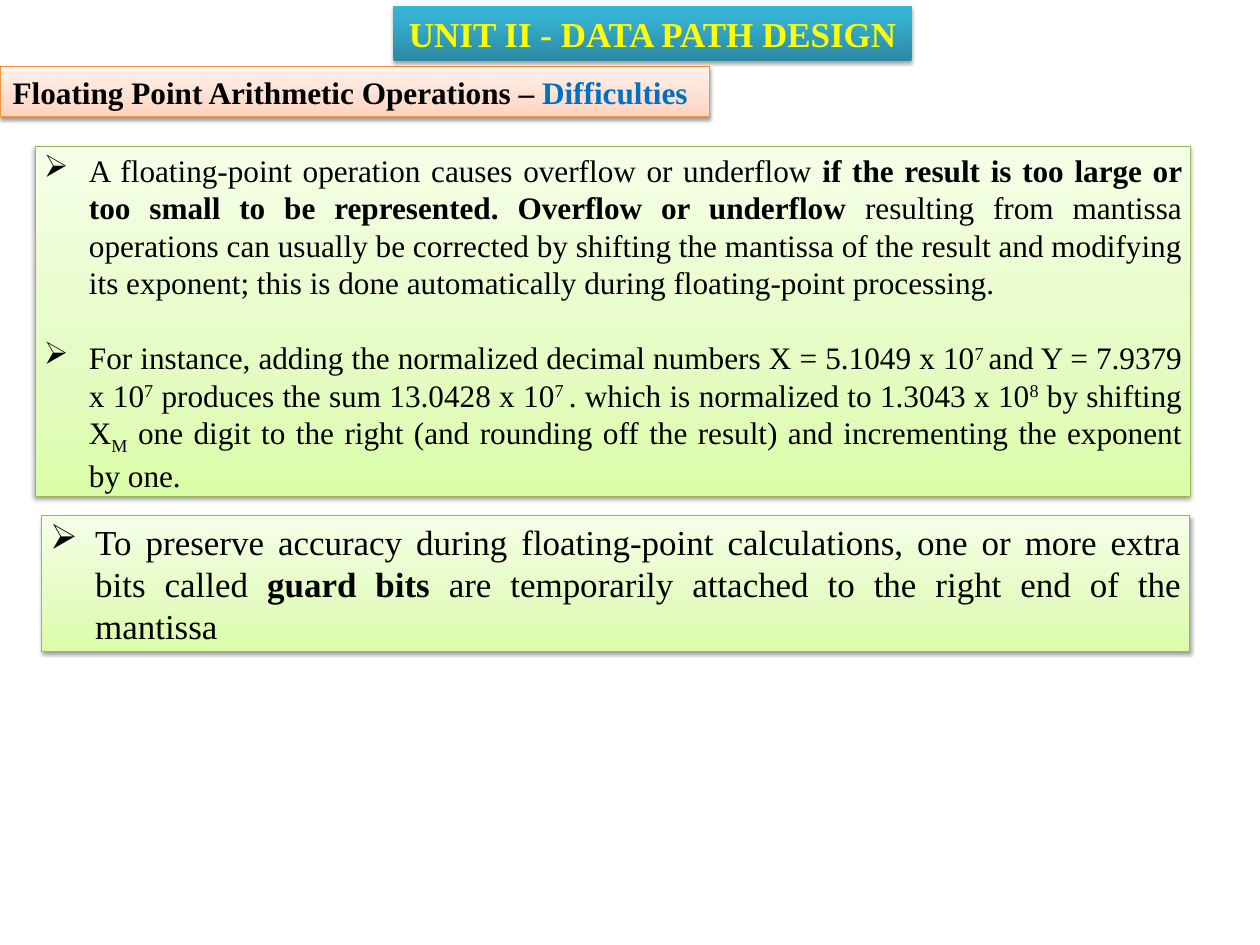
from lxml import etree
from pptx import Presentation
from pptx.dml.color import RGBColor
from pptx.enum.shapes import MSO_SHAPE
from pptx.enum.text import MSO_ANCHOR, MSO_AUTO_SIZE, PP_ALIGN
from pptx.oxml.ns import qn
from pptx.util import Inches, Pt

FONT = "Times New Roman"
BLACK = RGBColor(0x00, 0x00, 0x00)
BLUE = RGBColor(0x00, 0x70, 0xC0)
YELLOW = RGBColor(0xFF, 0xFF, 0x00)
GREEN_LINE = RGBColor(0x98, 0xB9, 0x55)
ORANGE_LINE = RGBColor(0xF6, 0x92, 0x40)
GREEN_STOPS = [(0, RGBColor(0xDA, 0xFD, 0xA7)), (35, RGBColor(0xE4, 0xFC, 0xC2)),
               (100, RGBColor(0xF5, 0xFF, 0xE7))]
ORANGE_STOPS = [(0, RGBColor(0xFF, 0xD2, 0xBD)), (35, RGBColor(0xFF, 0xDE, 0xD0)),
                (100, RGBColor(0xFF, 0xF2, 0xED))]
TEAL_STOPS = [(0, RGBColor(0x2A, 0x88, 0xA2)), (80, RGBColor(0x37, 0xB1, 0xD2)),
              (100, RGBColor(0x34, 0xB4, 0xD6))]
SUPER, SUB = 30, -25


def add_child(parent, tag, **attributes):
    child = etree.SubElement(parent, qn(tag))
    for name, value in attributes.items():
        child.set(name, str(value))
    return child


def add_color(parent, color, **attributes):
    return add_child(parent, "a:srgbClr", val=color, **attributes)


def add_panel(slide, box, stops, line_color=None, shadow_opacity=38, shadow_distance=1.6):
    """Add a rectangle with an upward gradient and a soft shadow below it."""
    shape = slide.shapes.add_shape(MSO_SHAPE.RECTANGLE, *map(Inches, box))
    shape.fill.gradient()
    shape.fill.gradient_angle = 90
    properties = shape._element.spPr
    stop_list = properties.find(qn("a:gradFill")).find(qn("a:gsLst"))
    for default_stop in list(stop_list):
        stop_list.remove(default_stop)
    for position, color in stops:
        add_color(add_child(stop_list, "a:gs", pos=position * 1000), color)

    if line_color is None:
        shape.line.fill.background()
    else:
        shape.line.color.rgb = line_color
        shape.line.width = Pt(0.75)

    shape.shadow.inherit = False
    shadow = add_child(properties.find(qn("a:effectLst")), "a:outerShdw",
                       blurRad=Pt(3.1), dist=Pt(shadow_distance), dir=90 * 60000, rotWithShape=0)
    add_child(add_color(shadow, BLACK), "a:alpha", val=shadow_opacity * 1000)
    return shape


def add_text(paragraph, text, size=25, color=BLACK, bold=False, baseline=0):
    run = paragraph.add_run()
    run.text = text
    font = run.font
    font.name, font.size, font.bold = FONT, Pt(size), bold
    font.color.rgb = color
    if baseline:
        run._r.get_or_add_rPr().set("baseline", str(baseline * 1000))


def add_heading(slide, box, stops, parts, align=PP_ALIGN.LEFT, size=25, **panel_format):
    frame = add_panel(slide, box, stops, **panel_format).text_frame
    frame.word_wrap = False
    frame.auto_size = MSO_AUTO_SIZE.SHAPE_TO_FIT_TEXT
    frame.vertical_anchor = MSO_ANCHOR.TOP
    frame.margin_left = frame.margin_right = Inches(0.14)
    frame.margin_top = frame.margin_bottom = Inches(0.07)
    paragraph = frame.paragraphs[0]
    paragraph.alignment = align
    for text, color in parts:
        add_text(paragraph, text, size=size, color=color, bold=True)


def add_bullet_panel(slide, box, bullets, size=25):
    """Add a green panel; each bullet is a list of (text, run format) pairs."""
    frame = add_panel(slide, box, GREEN_STOPS, line_color=GREEN_LINE).text_frame
    frame.word_wrap = True
    frame.auto_size = MSO_AUTO_SIZE.SHAPE_TO_FIT_TEXT
    frame.vertical_anchor = MSO_ANCHOR.TOP
    for index, parts in enumerate(bullets):
        paragraph = frame.add_paragraph() if index else frame.paragraphs[0]
        paragraph.alignment = PP_ALIGN.JUSTIFY
        if index:
            paragraph.space_before = Pt(size * 1.2)
        properties = paragraph._p.get_or_add_pPr()
        properties.set("marL", str(Inches(0.5)))
        properties.set("indent", str(-Inches(0.5)))
        add_child(properties, "a:buChar", char="➢")
        for text, run_format in parts:
            add_text(paragraph, text, size=size, **run_format)


def build_slide(presentation):
    slide = presentation.slides.add_slide(presentation.slide_layouts[6])
    plain, bold = {}, {"bold": True}
    superscript, subscript = {"baseline": SUPER}, {"baseline": SUB}
    overflow = [
        ("A floating-point operation causes overflow or underflow ", plain),
        ("if the result is too large or too small to be represented. "
         "Overflow or underflow ", bold),
        ("resulting from mantissa operations can usually be corrected by shifting the "
         "mantissa of the result and modifying its exponent; this is done automatically "
         "during floating-point processing.", plain),
    ]
    example = [
        ("For instance, adding the normalized decimal numbers X = 5.1049 x 10", plain),
        ("7 ", superscript),
        ("and Y = 7.9379 x 10", plain),
        ("7", superscript),
        (" produces the sum 13.0428 x 10", plain),
        ("7 ", superscript),
        (". which is normalized to 1.3043 x 10", plain),
        ("8", superscript),
        (" by shifting X", plain),
        ("M", subscript),
        (" one digit to the right (and rounding off the result) and incrementing "
         "the exponent by one.", plain),
    ]
    guard_bits = [
        ("To preserve accuracy during floating-point calculations, one or more extra "
         "bits called ", plain),
        ("guard bits ", bold),
        ("are temporarily attached to the right end of the mantissa", plain),
    ]
    add_bullet_panel(slide, (0.39, 1.63, 12.84, 3.89), [overflow, example])
    add_heading(slide, (0, 0.74, 7.88, 0.56), ORANGE_STOPS,
                [("Floating Point Arithmetic Operations – ", BLACK), ("Difficulties", BLUE)],
                line_color=ORANGE_LINE)
    add_heading(slide, (4.37, 0.07, 5.76, 0.61), TEAL_STOPS,
                [("UNIT II - DATA PATH DESIGN", YELLOW)], align=PP_ALIGN.CENTER, size=28,
                shadow_opacity=35, shadow_distance=1.8)
    add_bullet_panel(slide, (0.46, 5.73, 12.76, 1.51), [guard_bits], size=28)


def main():
    presentation = Presentation()
    presentation.slide_width = Inches(14)
    presentation.slide_height = Inches(10.5)
    build_slide(presentation)
    presentation.save("out.pptx")


if __name__ == "__main__":
    main()
